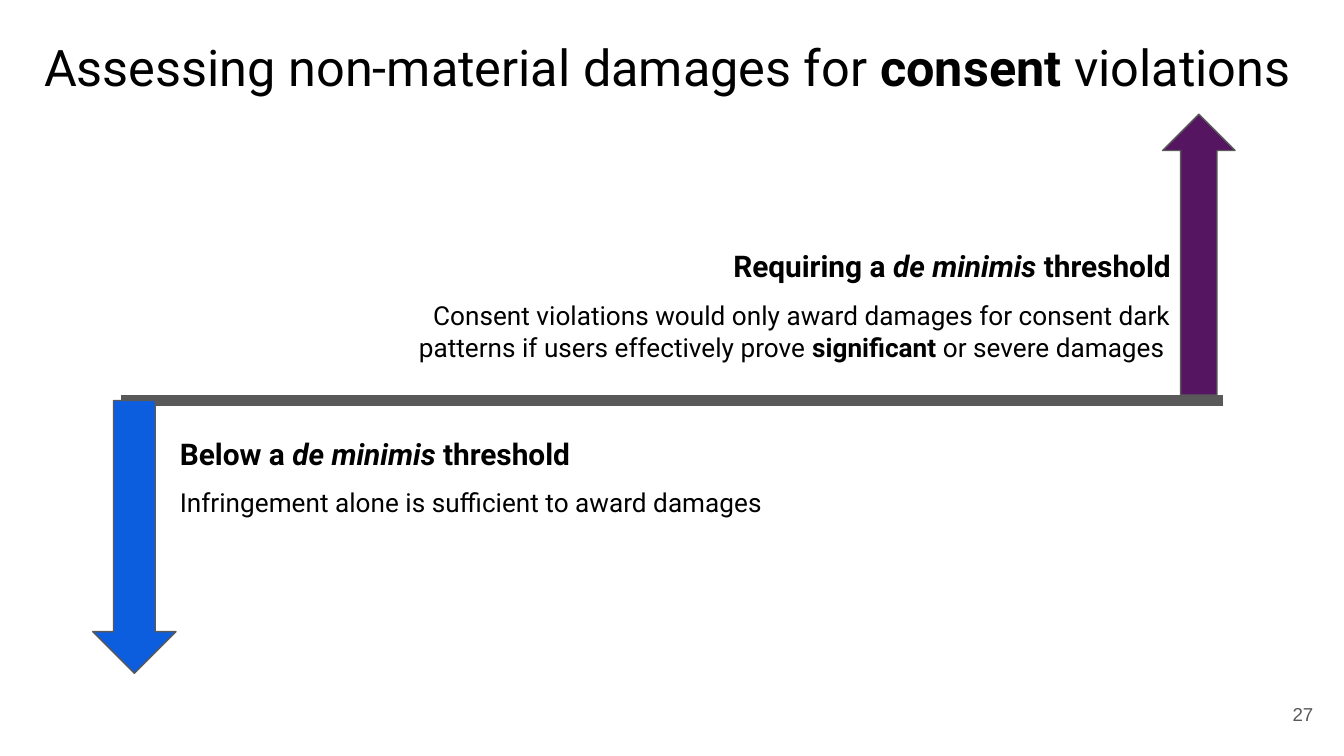
"""Build the slide on non-material damages for consent violations."""
from lxml import etree
from pptx import Presentation
from pptx.dml.color import RGBColor
from pptx.enum.shapes import MSO_CONNECTOR, MSO_SHAPE
from pptx.enum.text import MSO_ANCHOR, PP_ALIGN
from pptx.oxml.ns import qn
from pptx.util import Inches, Pt

UP_ARROW = MSO_SHAPE.UP_ARROW
STRAIGHT = MSO_CONNECTOR.STRAIGHT
LEFT, RIGHT = PP_ALIGN.LEFT, PP_ALIGN.RIGHT
TOP, MIDDLE = MSO_ANCHOR.TOP, MSO_ANCHOR.MIDDLE
COLORS = {"purple": "551561", "blue": "0D5DDF", "grey": "595959", "black": "000000"}


def rgb(name):
    return RGBColor.from_string(COLORS[name])


def add_text(s, box, runs, size, align=LEFT, font="Roboto", color="black", anchor=TOP):
    tf = s.shapes.add_textbox(*map(Inches, box)).text_frame
    tf.word_wrap = True
    tf.vertical_anchor = anchor
    tf.margin_left = tf.margin_right = tf.margin_top = tf.margin_bottom = Inches(0.1)
    p = tf.paragraphs[0]
    p.alignment = align
    for text, style in runs:
        r = p.add_run()
        r.text = text
        r.font.name = font
        r.font.size = Pt(size)
        r.font.color.rgb = rgb(color)
        r.font.bold = "b" in style
        r.font.italic = "i" in style


prs = Presentation()
prs.slide_width = Inches(10)
prs.slide_height = Inches(10 * 9 / 16)
s = prs.slides.add_slide(prs.slide_layouts[6])

arrows = []
for box, color, rotation in [
    ((8.65, 0.85, 0.54, 2.09), "purple", 0),
    ((0.69, 2.98, 0.62, 2.03), "blue", 180),
]:
    sp = s.shapes.add_shape(UP_ARROW, *map(Inches, box))
    sp.shadow.inherit = False
    sp.rotation = rotation
    sp.fill.solid()
    sp.fill.fore_color.rgb = rgb(color)
    sp.line.color.rgb = rgb("grey")
    sp.line.width = Pt(0.75)
    arrows.append(sp)

threshold = s.shapes.add_connector(
    STRAIGHT, Inches(0.9), Inches(2.98), Inches(9.1), Inches(2.98)
)
threshold.line.color.rgb = rgb("grey")
threshold.line.width = Pt(6)
etree.SubElement(threshold._element.spPr, qn("a:effectLst"))
arrows[1]._element.addprevious(threshold._element)

for heading, box, align in [
    ("Below a ", (1.24, 3.14, 3.87, 0.47), LEFT),
    ("Requiring a ", (4.24, 1.74, 4.57, 0.47), RIGHT),
]:
    runs = [(heading, "b"), ("de minimis ", "bi"), ("threshold", "b")]
    add_text(s, box, runs, 16, align)

add_text(s, (9.27, 5.1, 0.6, 0.43), [("27", "")], 10, RIGHT, "Arial", "grey", MIDDLE)
add_text(
    s,
    (0.23, 0.17, 9.87, 0.66),
    [("Assessing non-material damages for ", ""), ("consent ", "b"), ("violations", "")],
    27,
)
add_text(
    s,
    (1.24, 3.52, 5.04, 0.44),
    [("Infringement alone is sufficient to award damages", "")],
    14,
)
add_text(
    s,
    (2.87, 2.13, 5.94, 0.67),
    [
        ("Consent violations would only award damages for consent dark "
         "patterns if users effectively prove ", ""),
        ("significant", "b"),
        (" or severe damages ", ""),
    ],
    14,
    RIGHT,
)

prs.save("out.pptx")
